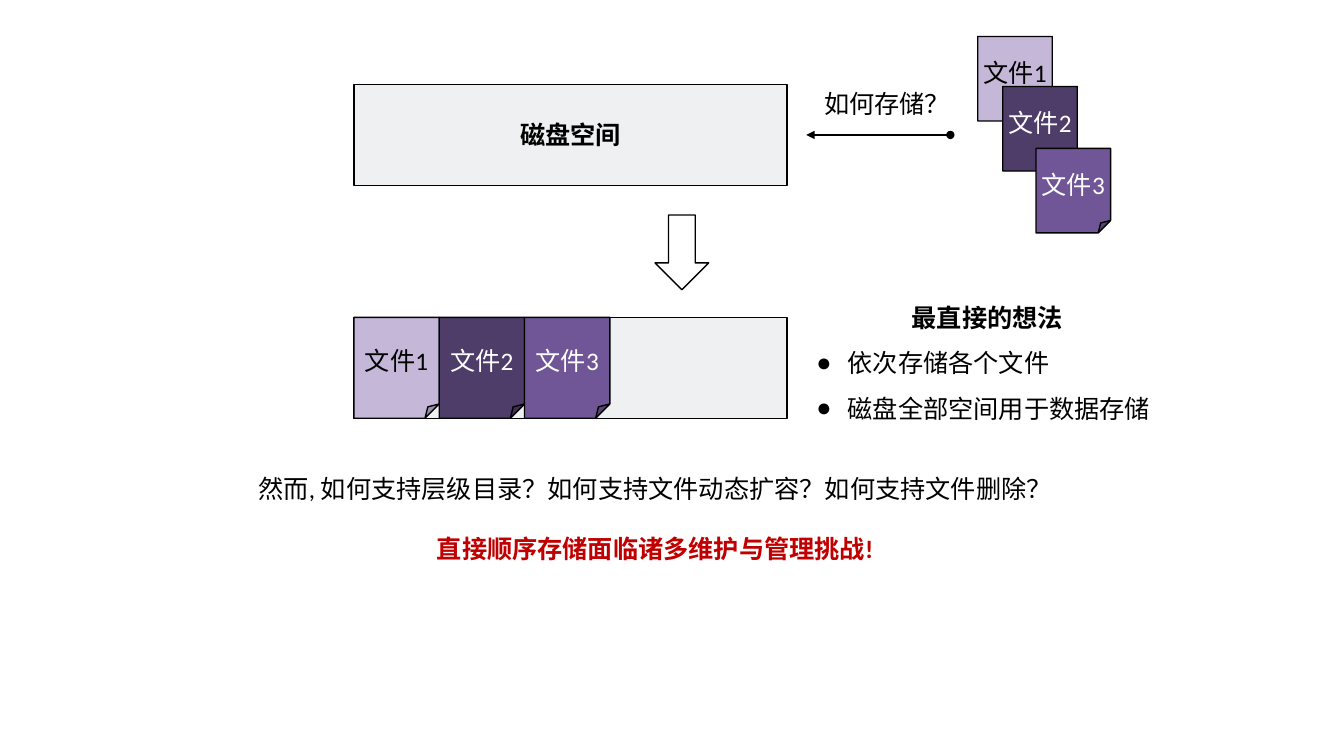
import lxml.etree
import pptx
import pptx.dml.color
import pptx.enum.shapes
import pptx.enum.text
import pptx.oxml.ns
import pptx.util

Cm = pptx.util.Cm
Pt = pptx.util.Pt
RGBColor = pptx.dml.color.RGBColor
Shape = pptx.enum.shapes.MSO_SHAPE
Align = pptx.enum.text.PP_ALIGN
Anchor = pptx.enum.text.MSO_ANCHOR
qn = pptx.oxml.ns.qn

BLACK = RGBColor(0x00, 0x00, 0x00)
WHITE = RGBColor(0xFF, 0xFF, 0xFF)
RED = RGBColor(0xC0, 0x00, 0x00)
DISK_GRAY = RGBColor(0xEF, 0xF0, 0xF1)
LILAC = RGBColor(0xC4, 0xB7, 0xD7)
DARK_PURPLE = RGBColor(0x4E, 0x3C, 0x69)
PURPLE = RGBColor(0x70, 0x56, 0x97)

DISK_LEFT, DISK_WIDTH, DISK_HEIGHT = 8.92, 10.92, 2.54
EMPTY_DISK_TOP, FILLED_DISK_TOP = 2.13, 8.0
STORED_WIDTH = 2.15
LOOSE_WIDTH, LOOSE_HEIGHT = 1.88, 2.13
FILES = [
    ("文件1", LILAC, BLACK, (24.64, 0.92)),
    ("文件2", DARK_PURPLE, WHITE, (25.27, 2.18)),
    ("文件3", PURPLE, WHITE, (26.11, 3.74)),
]


class SlideBuilder:
    font = "Calibri"
    size = Pt(18)
    line_width = Pt(1)

    def __init__(self, page):
        self.page = page

    def add_span(self, para, text, color=BLACK, bold=False, font=None):
        span = para.add_run()
        span.text = text
        span.font.name = font or self.font
        span.font.size = self.size
        span.font.bold = bold
        span.font.color.rgb = color

    def add_outlined(self, kind, left, top, width, height, fill):
        shape = self.page.shapes.add_shape(
            kind, Cm(left), Cm(top), Cm(width), Cm(height))
        shape.shadow.inherit = False
        shape.fill.solid()
        shape.fill.fore_color.rgb = fill
        shape.line.color.rgb = BLACK
        shape.line.width = self.line_width
        return shape

    def add_label(self, shape, text, **style):
        frame = shape.text_frame
        frame.margin_left = frame.margin_right = 0
        frame.margin_top = frame.margin_bottom = 0
        frame.vertical_anchor = Anchor.MIDDLE
        para = frame.paragraphs[0]
        para.alignment = Align.CENTER
        self.add_span(para, text, **style)

    def add_disk(self, top):
        return self.add_outlined(Shape.RECTANGLE, DISK_LEFT, top,
                                 DISK_WIDTH, DISK_HEIGHT, DISK_GRAY)

    def add_file(self, name, left, top, width, height, fill, color):
        sheet = self.add_outlined(
            Shape.FOLDED_CORNER, left, top, width, height, fill)
        self.add_label(sheet, name, color=color)

    def add_arrow(self, start, end):
        arrow = self.page.shapes.add_connector(
            pptx.enum.shapes.MSO_CONNECTOR.STRAIGHT,
            *(Cm(value) for value in start + end))
        arrow.line.color.rgb = BLACK
        arrow.line.width = self.line_width
        outline = arrow._element.spPr.find(qn("a:ln"))
        for tag, kind in (("a:headEnd", "oval"), ("a:tailEnd", "triangle")):
            lxml.etree.SubElement(outline, qn(tag), type=kind)
        lxml.etree.SubElement(arrow._element.spPr, qn("a:effectLst"))

    def add_text(self, left, top, width, height, lines, align=Align.LEFT,
                 wrap=True, gap=0):
        box = self.page.shapes.add_textbox(
            Cm(left), Cm(top), Cm(width), Cm(height))
        frame = box.text_frame
        frame.word_wrap = wrap
        for index, (text, style) in enumerate(lines):
            para = frame.add_paragraph() if index else frame.paragraphs[0]
            para.alignment = align
            if index:
                para.space_before = Pt(gap)
            self.add_span(para, text, **style)

    def add_bullets(self, left, top, width, height, heading, items):
        body = self.page.placeholders[1]
        body.left, body.top = Cm(left), Cm(top)
        body.width, body.height = Cm(width), Cm(height)
        frame = body.text_frame
        frame.auto_size = pptx.enum.text.MSO_AUTO_SIZE.NONE
        frame.word_wrap = True
        frame.vertical_anchor = Anchor.TOP
        for index, text in enumerate([heading] + items):
            para = frame.add_paragraph() if index else frame.paragraphs[0]
            props = para._p.get_or_add_pPr()
            indent = Cm(0.79) if index else 0
            props.set("marL", str(indent))
            props.set("indent", str(-indent))
            if index:
                lxml.etree.SubElement(props, qn("a:buChar"), char="●")
            else:
                lxml.etree.SubElement(props, qn("a:buNone"))
            para.alignment = Align.LEFT if index else Align.CENTER
            para.line_spacing = 1.5
            para.space_before = Pt(0)
            self.add_span(para, text, bold=not index)


def main():
    deck = pptx.Presentation()
    deck.slide_width, deck.slide_height = Cm(33.87), Cm(19.05)
    page = deck.slides.add_slide(deck.slide_layouts[1])
    title = page.shapes.title._element
    title.getparent().remove(title)
    builder = SlideBuilder(page)

    builder.add_label(builder.add_disk(EMPTY_DISK_TOP), "磁盘空间",
                      bold=True, font="Times New Roman")
    builder.add_arrow((23.95, 3.4), (20.32, 3.4))
    builder.add_text(20.52, 2.11, 3.71, 1.02, [("如何存储？", {})], wrap=False)
    builder.add_outlined(Shape.DOWN_ARROW, 16.51, 5.42, 1.35, 1.88, WHITE)
    builder.add_disk(FILLED_DISK_TOP)
    for index, (name, fill, color, (left, top)) in enumerate(FILES):
        builder.add_file(name, left, top, LOOSE_WIDTH, LOOSE_HEIGHT,
                         fill, color)
        builder.add_file(name, DISK_LEFT + index * STORED_WIDTH,
                         FILLED_DISK_TOP, STORED_WIDTH, DISK_HEIGHT,
                         fill, color)

    builder.add_bullets(20.32, 7.11, 9.12, 3.61, "最直接的想法",
                        ["依次存储各个文件", "磁盘全部空间用于数据存储"])
    builder.add_text(3.58, 11.81, 25.86, 2.57, [
        ("然而, 如何支持层级目录？如何支持文件动态扩容？如何支持文件删除？", {}),
        ("直接顺序存储面临诸多维护与管理挑战!", {"color": RED, "bold": True}),
    ], align=Align.CENTER, gap=21)
    deck.save("out.pptx")


if __name__ == "__main__":
    main()
